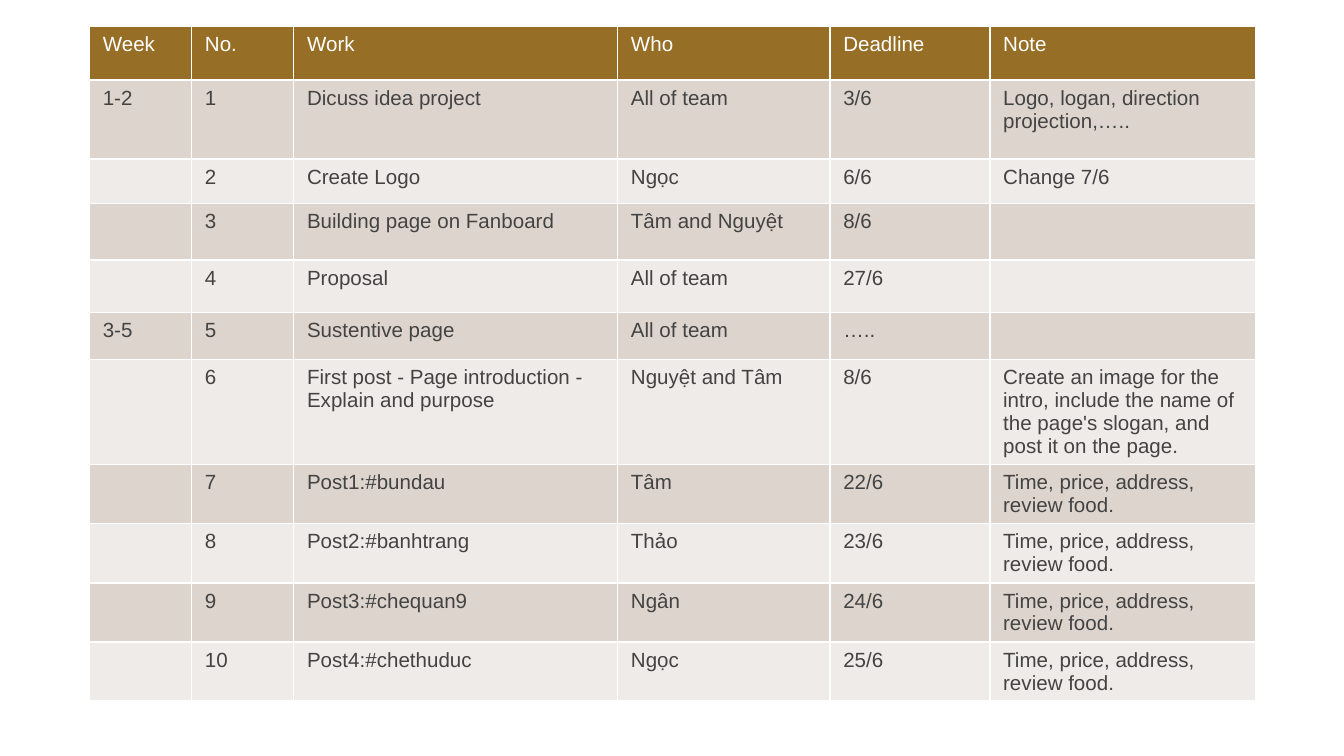
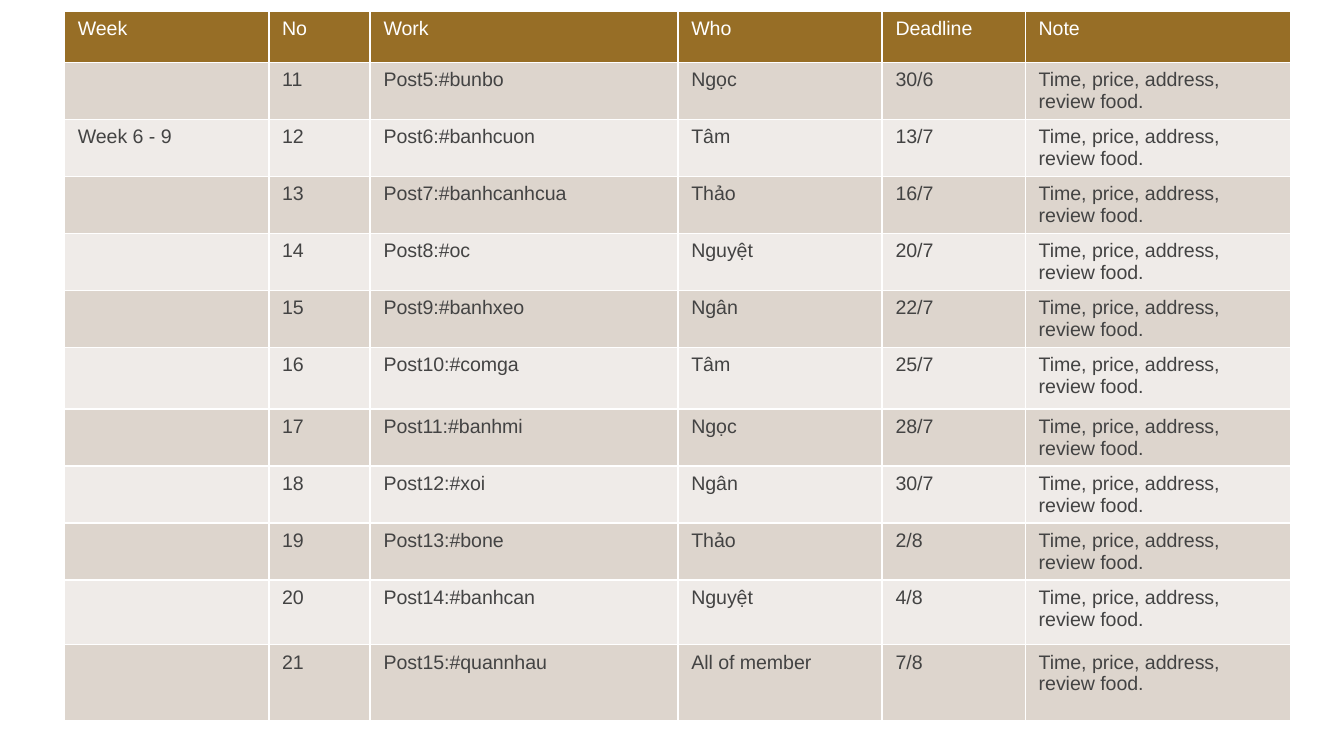
"""Build the two-slide team work schedule."""
from typing import NamedTuple

from lxml.etree import SubElement
from pptx import Presentation
from pptx.dml.color import RGBColor
from pptx.oxml.ns import qn
from pptx.util import Emu, Pt

FONT = "Arial"
WHITE, TEXT, HEADER = "FFFFFF", "434343", "976E26"
BANDS = ("DDD5CD", "EFEBE8")
REVIEW = "Time, price, address, review food."


class Task(NamedTuple):
    work: str
    who: str
    deadline: str
    note: str = REVIEW
    week: str = ""


class Schedule(NamedTuple):
    left: int
    top: int
    cols: list[int]
    rows: list[int]
    size: float
    no_label: str
    first_no: int
    tasks: list[Task]


SCHEDULES = [
    Schedule(
        133, 39, [152, 152, 482, 316, 238, 396],
        [80, 118, 66, 84, 78] + [70] * 6, 11, "No.", 1,
        [
            Task("Dicuss idea project", "All of team", "3/6",
                 "Logo, logan, direction projection,…..", "1-2"),
            Task("Create Logo", "Ngọc", "6/6", "Change 7/6"),
            Task("Building page on Fanboard", "Tâm and Nguyệt", "8/6", ""),
            Task("Proposal", "All of team", "27/6", ""),
            Task("Sustentive page", "All of team", "…..", "", "3-5"),
            Task("First post - Page introduction - Explain and purpose",
                 "Nguyệt and Tâm", "8/6",
                 "Create an image for the intro, include the name of "
                 "the page's slogan, and post it on the page."),
            Task("Post1:#bundau", "Tâm", "22/6"),
            Task("Post2:#banhtrang", "Thảo", "23/6"),
            Task("Post3:#chequan9", "Ngân", "24/6"),
            Task("Post4:#chethuduc", "Ngọc", "25/6"),
        ]),
    Schedule(
        96, 17, [304, 151, 458, 304, 213, 395],
        [76, 80, 74, 82, 80, 80, 92, 84, 82, 60, 96, 114], 10.5, "No", 11,
        [
            Task("Post5:#bunbo", "Ngọc", "30/6"),
            Task("Post6:#banhcuon", "Tâm", "13/7", week="Week 6 - 9"),
            Task("Post7:#banhcanhcua", "Thảo", "16/7"),
            Task("Post8:#oc", "Nguyệt", "20/7"),
            Task("Post9:#banhxeo", "Ngân", "22/7"),
            Task("Post10:#comga", "Tâm", "25/7"),
            Task("Post11:#banhmi", "Ngọc", "28/7"),
            Task("Post12:#xoi", "Ngân", "30/7"),
            Task("Post13:#bone", "Thảo", "2/8"),
            Task("Post14:#banhcan", "Nguyệt", "4/8"),
            Task("Post15:#quannhau", "All of member", "7/8"),
        ]),
]


def px(n: int) -> Emu:
    """Turn px, 200 to the inch, into EMU."""
    return Emu(n * 4572)


def rgb(color: str) -> RGBColor:
    """Turn a hex string into a colour."""
    return RGBColor.from_string(color)


def set_borders(cell) -> None:
    """Draw white cell borders, 1 pt wide."""
    tcPr = cell._tc.get_or_add_tcPr()
    for side in "LRTB":
        ln = SubElement(tcPr, qn(f"a:ln{side}"), w=str(Pt(1)))
        fill = SubElement(ln, qn("a:solidFill"))
        SubElement(fill, qn("a:srgbClr"), val=WHITE)


def fill_cell(cell, text: str, size: float, color: str, fill: str) -> None:
    """Write and format one table cell."""
    set_borders(cell)
    cell.fill.solid()
    cell.fill.fore_color.rgb = rgb(fill)
    cell.text_frame.text = text
    p = cell.text_frame.paragraphs[0]
    for r in p.runs:
        r.font.name = FONT
        r.font.size = Pt(size)
        r.font.bold = False
        r.font.color.rgb = rgb(color)
    if not text:
        SubElement(p._p, qn("a:endParaRPr"), sz=str(int(size * 100)))


def add_schedule(prs, schedule: Schedule) -> None:
    """Add a slide holding one schedule table."""
    s = prs.slides.add_slide(prs.slide_layouts[6])
    rows = [("Week", schedule.no_label, "Work", "Who", "Deadline", "Note")]
    for no, task in enumerate(schedule.tasks, schedule.first_no):
        rows.append((task.week, str(no), task.work, task.who, task.deadline, task.note))
    table = s.shapes.add_table(
        len(rows), len(schedule.cols), px(schedule.left), px(schedule.top),
        px(sum(schedule.cols)), px(sum(schedule.rows))).table
    for column, width in zip(table.columns, schedule.cols):
        column.width = px(width)
    for i, (row, height, values) in enumerate(zip(table.rows, schedule.rows, rows)):
        row.height = px(height)
        color, fill = (TEXT, BANDS[(i - 1) % 2]) if i else (WHITE, HEADER)
        for cell, text in zip(row.cells, values):
            fill_cell(cell, text, schedule.size, color, fill)


def main() -> None:
    """Build and save the presentation."""
    prs = Presentation()
    prs.slide_width, prs.slide_height = px(2000), px(1125)
    for schedule in SCHEDULES:
        add_schedule(prs, schedule)
    prs.save("out.pptx")


if __name__ == "__main__":
    main()
